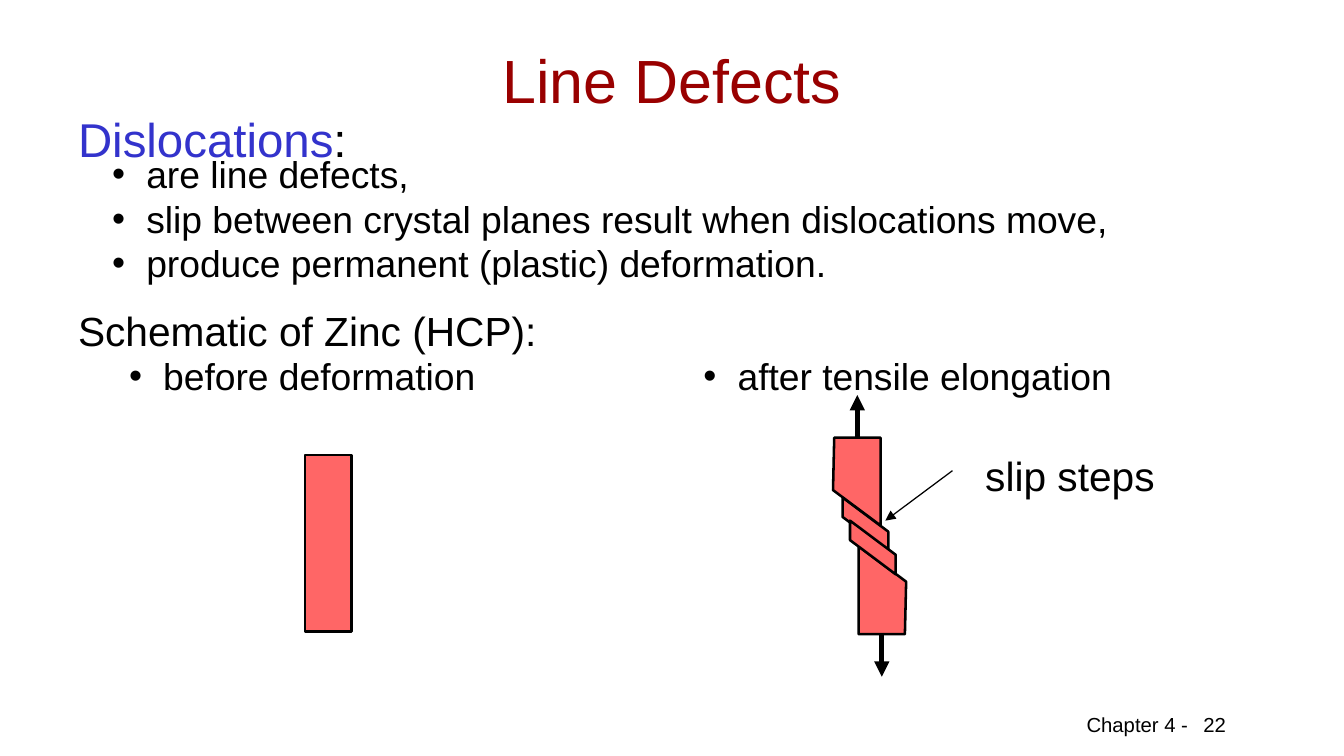
from pptx import Presentation
from pptx import util as u
from pptx.dml import color
from pptx.enum import shapes, text
from pptx.oxml import ns
from lxml import etree

COLORS = {"ink": "000000", "title": "990000", "term": "3333CC", "zinc": "FF6666"}


class Page:
    """Style and current slide, measured on a grid of 100 columns by 100 rows."""

    font = "Arial"
    inset = (0.1, 0.05)

    def __init__(self, deck):
        self.column = deck.slide_width / 100
        self.row = deck.slide_height / 100
        self.slide = deck.slides.add_slide(deck.slide_layouts[5])

    def color(self, name):
        return color.RGBColor.from_string(COLORS[name])

    def place(self, x, y):
        return round(x * self.column), round(y * self.row)

    def style(self, para, size, tint="ink"):
        para.font.name = self.font
        para.font.size = u.Pt(size)
        para.font.color.rgb = self.color(tint)

    def title(self, words, x, y, width, height):
        box = self.slide.shapes.title
        box.left, box.top = self.place(x, y)
        box.width, box.height = self.place(width, height)
        frame = box.text_frame
        frame.text = words
        frame.vertical_anchor = text.MSO_ANCHOR.MIDDLE
        para = frame.paragraphs[0]
        para.alignment = text.PP_ALIGN.CENTER
        self.style(para, 36, "title")

    def text(self, lines, x, y, width, height, size, inset=(0, 0), bullet=False, align=None):
        box = self.slide.shapes.add_textbox(*self.place(x, y), *self.place(width, height))
        frame = box.text_frame
        frame.word_wrap = True
        frame.margin_left = frame.margin_right = u.Inches(inset[0])
        frame.margin_top = frame.margin_bottom = u.Inches(inset[1])
        frame.text = "\n".join(lines)
        for para in frame.paragraphs:
            if bullet:
                self.bullet(para)
            para.alignment = align
            self.style(para, size)
        return frame.paragraphs[0]

    def bullet(self, para):
        props = para._p.get_or_add_pPr()
        hang = u.Inches(0.28)
        props.set("marL", str(hang))
        props.set("indent", str(-hang))
        etree.SubElement(props, ns.qn("a:buFont")).set("typeface", self.font)
        etree.SubElement(props, ns.qn("a:buChar")).set("char", "•")

    def paint(self, shape):
        shape.shadow.inherit = False
        shape.fill.solid()
        shape.fill.fore_color.rgb = self.color("zinc")
        shape.line.color.rgb = self.color("ink")
        shape.line.width = u.Pt(1.5)

    def bar(self, x, y, width, height):
        self.paint(self.slide.shapes.add_shape(
            shapes.MSO_SHAPE.RECTANGLE, *self.place(x, y), *self.place(width, height)))

    def outline(self, points):
        start, *rest = [self.place(*point) for point in points]
        builder = self.slide.shapes.build_freeform(*start)
        builder.add_line_segments(rest, close=True)
        self.paint(builder.convert_to_shape())

    def arrow(self, start, end, weight):
        line = self.slide.shapes.add_connector(
            shapes.MSO_CONNECTOR.STRAIGHT, *self.place(*start), *self.place(*end))
        line.line.color.rgb = self.color("ink")
        line.line.width = u.Pt(weight)
        etree.SubElement(line.line._get_or_add_ln(), ns.qn("a:tailEnd")).set("type", "triangle")
        etree.SubElement(line._element.spPr, ns.qn("a:effectLst"))

    def slip_step(self, x, y):
        width, drop, thickness = 3.4, 4.52, 2.58
        self.outline([(x, y), (x, y + thickness),
                      (x + width, y + drop + thickness), (x + width, y + drop)])

    def slipped_crystal(self):
        upper = [(62.07, 57.9), (65.52, 57.9), (65.52, 69.52), (61.98, 64.84)]
        pull = [(63.79, 58.06), (63.79, 52.26)]

        def turned(points):
            return [(129.4 - x, 141.78 - y) for x, y in points]

        self.slip_step(62.7, 65.81)
        self.outline(turned(upper))
        self.outline(upper)
        for points in (turned(pull), pull):
            self.arrow(*points, 3)
        self.slip_step(63.25, 68.87)


def main():
    deck = Presentation()
    deck.slide_width, deck.slide_height = u.Inches(11.02), u.Inches(6.2)
    page = Page(deck)
    page.title("Line Defects", 4.17, 5.48, 91.65, 10)
    page.text(["Chapter 4 -"], 79.95, 93.39, 10.9, 4.84, 12, page.inset)
    page.text(["22"], 83.94, 93.39, 12.89, 5.16, 12, page.inset, align=text.PP_ALIGN.CENTER)
    page.text(["are line defects,",
               "slip between crystal planes result when dislocations move,",
               "produce permanent (plastic) deformation."],
              8.35, 20, 85.84, 17.74, 22, bullet=True)
    heading = page.text(["Dislocations"], 5.81, 14.52, 40.02, 7.58, 28)
    heading.runs[0].font.color.rgb = page.color("term")
    heading.add_run().text = ":"
    page.text(["Schematic of Zinc (HCP):"], 5.81, 40.48, 50.82, 6.45, 24)
    for label, x in (("before deformation", 8.71), ("after tensile elongation", 51.45)):
        page.text([label], x, 45.97, 34, 7.42, 22, page.inset, bullet=True)
    page.arrow((70.87, 62.26), (65.88, 68.87), 0.75)
    page.text(["slip steps"], 72.41, 58.87, 15.4, 8.06, 24, page.inset)
    page.bar(22.69, 60.16, 3.45, 23.39)
    page.slipped_crystal()
    deck.save("out.pptx")


if __name__ == "__main__":
    main()
